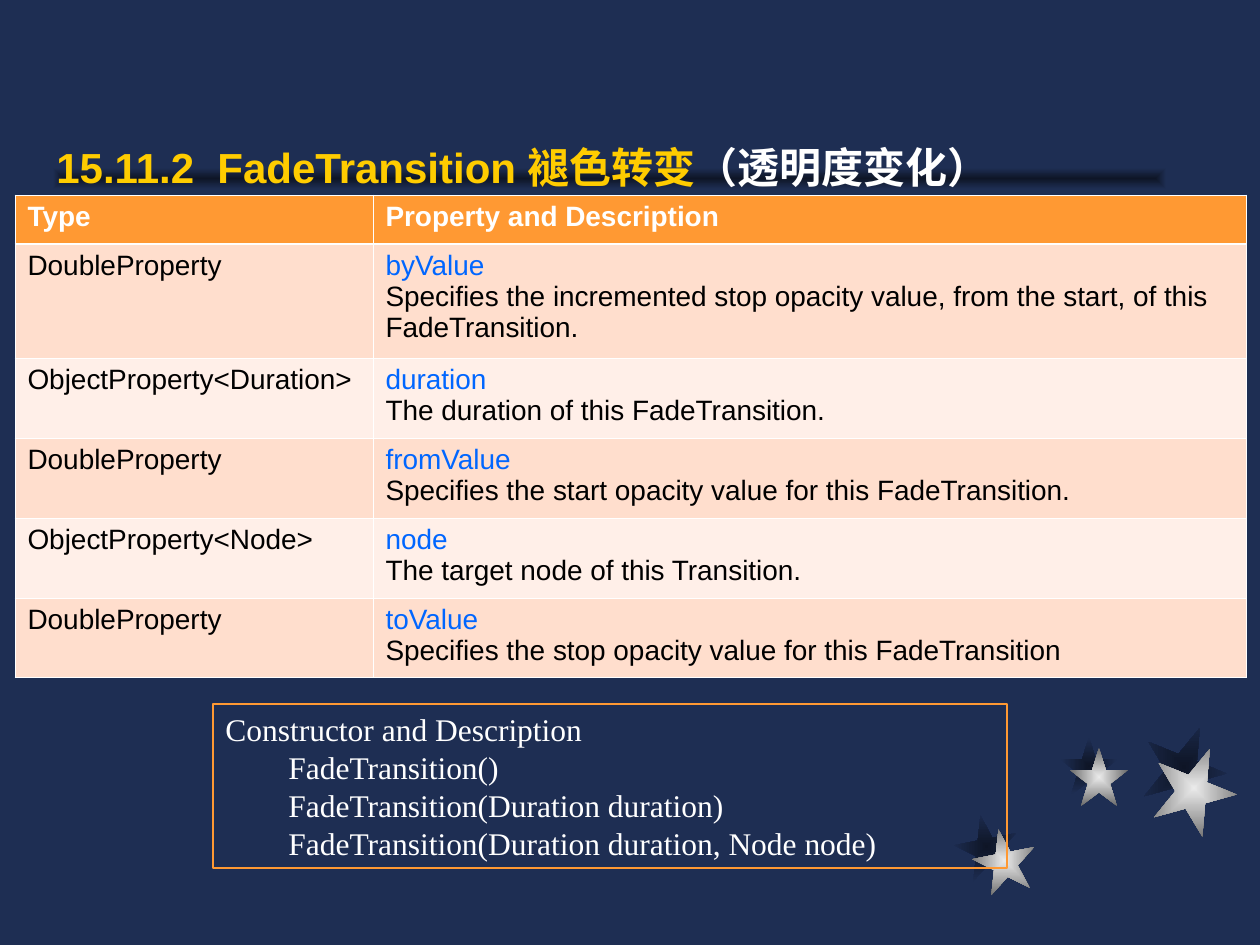
from lxml.etree import SubElement
from pptx import Presentation
from pptx.dml.color import RGBColor
from pptx.enum.shapes import MSO_SHAPE
from pptx.enum.text import MSO_ANCHOR, PP_ALIGN
from pptx.oxml.ns import qn
from pptx.util import Pt

PX = 914400 / 126
NAVY = RGBColor(0x1E, 0x2E, 0x53)
DARK = RGBColor(0x0E, 0x15, 0x26)
SILVER = RGBColor(0xEA, 0xEA, 0xEA)
GRAY = RGBColor(0x6C, 0x6C, 0x6C)
WHITE = RGBColor(0xFF, 0xFF, 0xFF)
BLACK = RGBColor(0, 0, 0)
GOLD = RGBColor(0xFF, 0xCC, 0x00)
ORANGE = RGBColor(0xFF, 0x99, 0x33)
BLUE = RGBColor(0x00, 0x66, 0xFF)
BANDS = RGBColor(0xFF, 0xDE, 0xCD), RGBColor(0xFF, 0xEF, 0xE8)

TITLE = ("15.11.2  FadeTransition 褪色转变", GOLD), ("（透明度变化）", WHITE)
HEADER = ["Type", "Property and Description"]
PROPERTIES = [
    ("DoubleProperty", "byValue",
     "Specifies the incremented stop opacity value, from the start, of this FadeTransition."),
    ("ObjectProperty<Duration>", "duration", "The duration of this FadeTransition."),
    ("DoubleProperty", "fromValue", "Specifies the start opacity value for this FadeTransition."),
    ("ObjectProperty<Node>", "node", "The target node of this Transition."),
    ("DoubleProperty", "toValue", "Specifies the stop opacity value for this FadeTransition"),
]
CONSTRUCTORS = [
    "Constructor and Description",
    "\tFadeTransition()",
    "\tFadeTransition(Duration duration)",
    "\tFadeTransition(Duration duration, Node node)",
]
COL_WIDTHS = [358, 873]
ROW_HEIGHTS = [49, 114, 80, 80, 80, 80]
STAR_SHADOWS = [(955, 815, 63, 349), (1060, 737, 58, 0), (1142, 725, 84, 22)]
STARS = [(973, 829, 63, 349), (1070, 748, 58, 0), (1152, 746, 84, 22)]


def px(*values):
    return [round(v * PX) for v in values]


def add_text(p, text, size=16, color=BLACK, font="Arial", bold=False):
    r = p.add_run()
    r.text = text
    r.font.size = Pt(size)
    r.font.name = font
    r.font.bold = bold
    r.font.color.rgb = color
    p.alignment = PP_ALIGN.LEFT


def add_glow(kind, box, inner, outer, rotation=0):
    s = slide.shapes.add_shape(kind, *px(*box))
    s.rotation = rotation
    s.shadow.inherit = False
    s.line.fill.background()
    s.fill.gradient()
    for stop, color in zip(s.fill.gradient_stops, (inner, outer)):
        stop.color.rgb = color
    grad = s._element.spPr.find(qn("a:gradFill"))
    grad.remove(grad.find(qn("a:lin")))
    center = SubElement(grad, qn("a:path"), path="rect")
    SubElement(center, qn("a:fillToRect"), {side: "50000" for side in "ltrb"})


def set_border(cell, bottom=0.45, top=0.45):
    tcPr = cell._tc.get_or_add_tcPr()
    widths = {"lnL": 0.45, "lnR": 0.45, "lnT": top, "lnB": bottom}
    for i, (tag, width) in enumerate(widths.items()):
        ln = SubElement(tcPr, qn("a:" + tag), w=str(Pt(width)))
        fill = SubElement(ln, qn("a:solidFill"))
        SubElement(fill, qn("a:srgbClr"), val=str(WHITE))
        tcPr.insert(i, ln)


prs = Presentation()
prs.slide_width, prs.slide_height = px(1260, 945)
slide = prs.slides.add_slide(prs.slide_layouts[6])
slide.background.fill.solid()
slide.background.fill.fore_color.rgb = NAVY

for group, inner, outer in ((STAR_SHADOWS, DARK, NAVY), (STARS, SILVER, GRAY)):
    for x, y, size, angle in group:
        add_glow(MSO_SHAPE.STAR_5_POINT, (x, y, size, size), inner, outer, angle)
add_glow(MSO_SHAPE.RECTANGLE, (53, 168, 1113, 21), DARK, NAVY)

tf = slide.shapes.add_textbox(*px(44, 135, 992, 63)).text_frame
tf.word_wrap = True
for text, color in TITLE:
    add_text(tf.paragraphs[0], text, size=24, color=color, bold=True)

table = slide.shapes.add_table(
    len(ROW_HEIGHTS), len(COL_WIDTHS),
    *px(15, 195, sum(COL_WIDTHS), sum(ROW_HEIGHTS))).table
for col, width in zip(table.columns, px(*COL_WIDTHS)):
    col.width = width
for row, height in zip(table.rows, px(*ROW_HEIGHTS)):
    row.height = height

for i, row in enumerate(table.rows):
    for cell in row.cells:
        cell.fill.solid()
        cell.fill.fore_color.rgb = BANDS[(i - 1) % 2] if i else ORANGE
        set_border(cell, bottom=0.45 if i else 1.47, top=1.47 if i == 1 else 0.45)

for cell, text in zip(table.rows[0].cells, HEADER):
    add_text(cell.text_frame.paragraphs[0], text, color=WHITE, bold=True)
for i, (kind, name, description) in enumerate(PROPERTIES, 1):
    add_text(table.cell(i, 0).text_frame.paragraphs[0], kind)
    tf = table.cell(i, 1).text_frame
    add_text(tf.paragraphs[0], name, color=BLUE)
    add_text(tf.add_paragraph(), description)

s = slide.shapes.add_shape(MSO_SHAPE.RECTANGLE, *px(213, 704, 794, 164))
s.shadow.inherit = False
s.fill.background()
s.line.color.rgb = ORANGE
s.line.width = Pt(0.75)
tf = s.text_frame
tf.word_wrap = True
tf.vertical_anchor = MSO_ANCHOR.TOP
for i, text in enumerate(CONSTRUCTORS):
    p = tf.add_paragraph() if i else tf.paragraphs[0]
    add_text(p, text, size=18, color=WHITE, font="Times New Roman")

prs.save("out.pptx")
